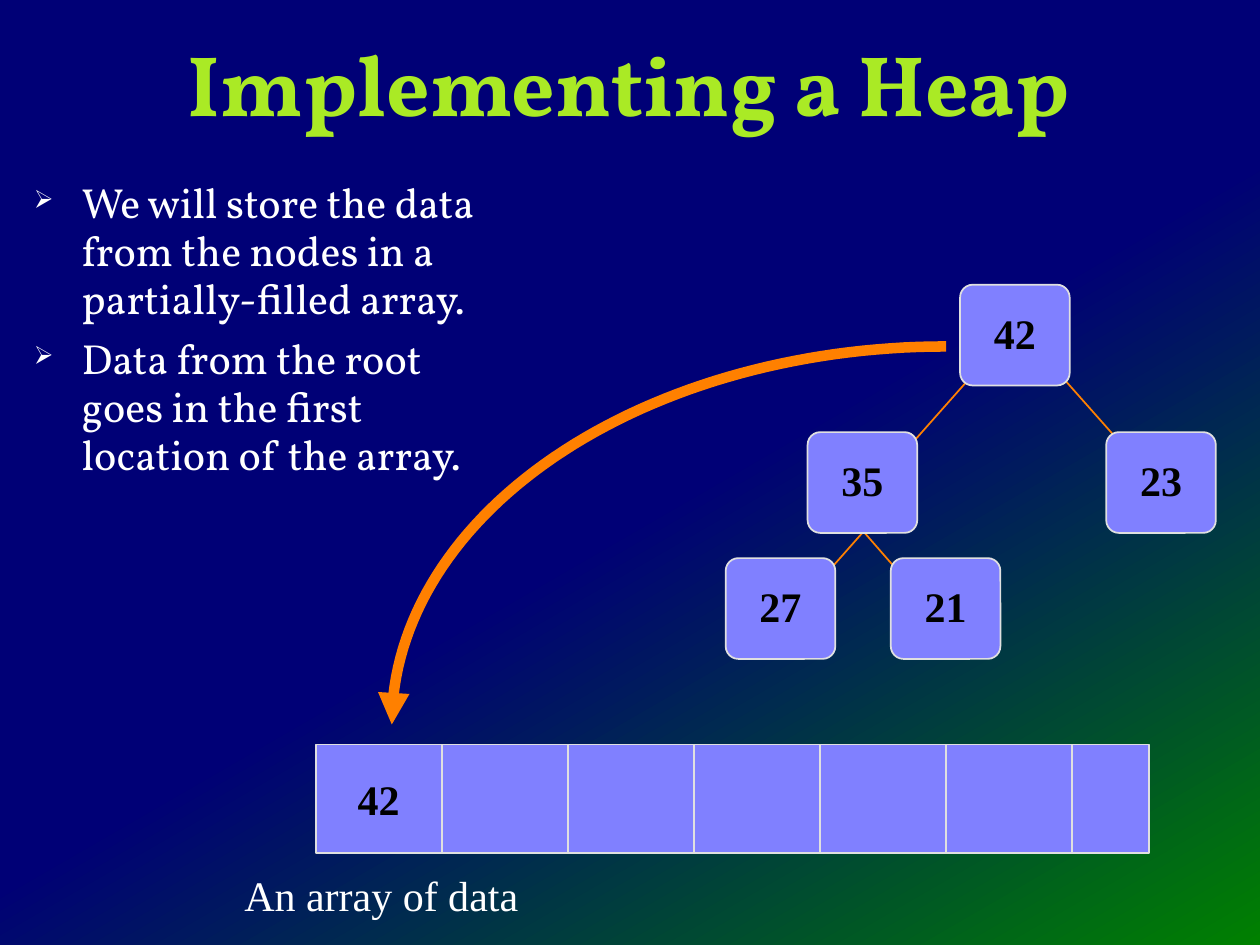
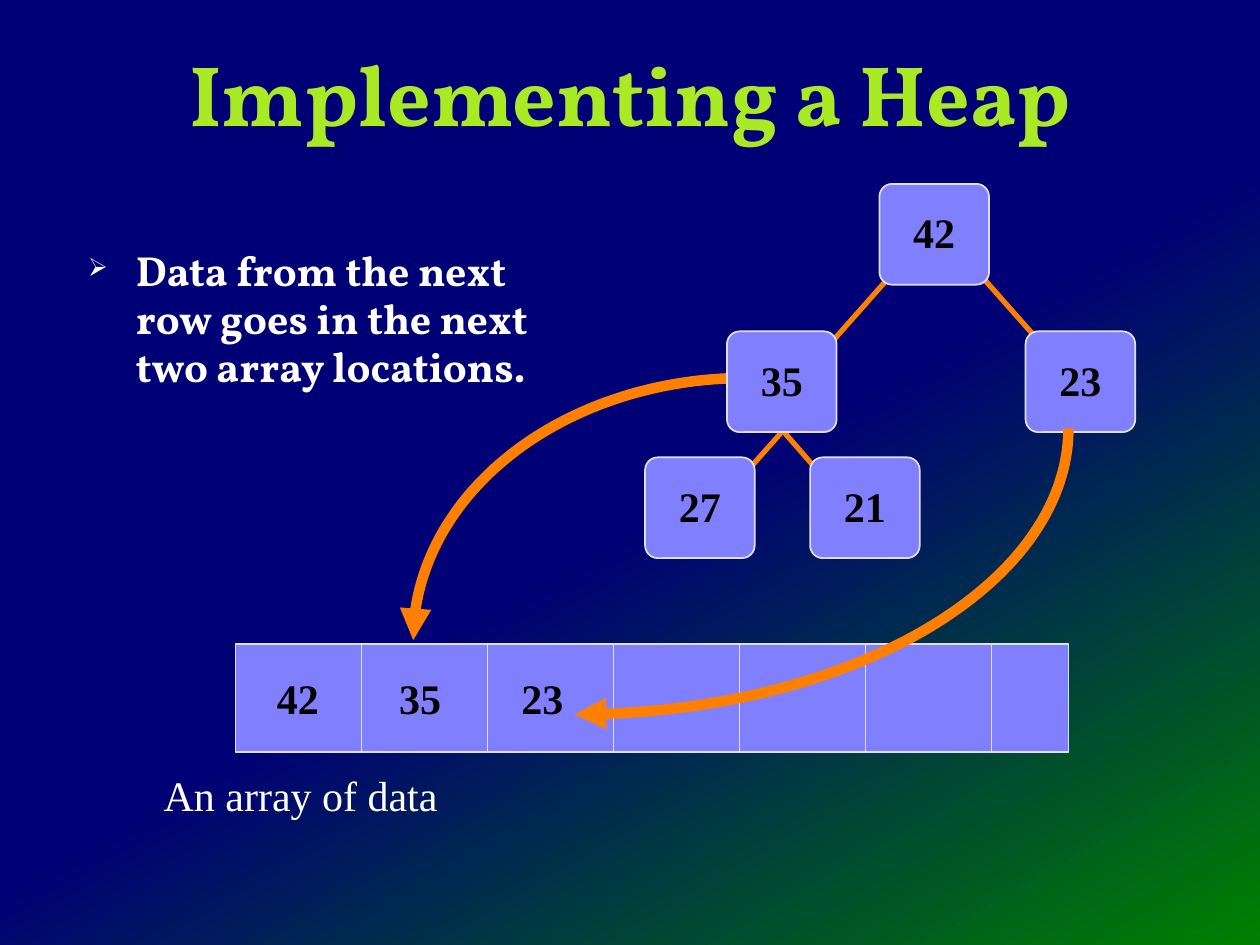
from copy import deepcopy
from dataclasses import dataclass
from math import cos, pi, sin

from lxml import etree
from pptx import Presentation
from pptx.dml.color import RGBColor
from pptx.enum.shapes import MSO_CONNECTOR, MSO_SHAPE
from pptx.enum.text import MSO_ANCHOR, MSO_AUTO_SIZE, PP_ALIGN
from pptx.oxml.ns import qn
from pptx.util import Inches, Pt

RECT, ROUNDED = MSO_SHAPE.RECTANGLE, MSO_SHAPE.ROUNDED_RECTANGLE
STRAIGHT = MSO_CONNECTOR.STRAIGHT
TOP, MIDDLE, BOTTOM = MSO_ANCHOR.TOP, MSO_ANCHOR.MIDDLE, MSO_ANCHOR.BOTTOM
LEFT, CENTER = PP_ALIGN.LEFT, PP_ALIGN.CENTER
NO_FIT = MSO_AUTO_SIZE.NONE

# Shared look
NAVY, GREEN, LIME = "000076", "008000", "AAEA25"
WHITE, BLACK, PALE = "FFFFFF", "000000", "E0E0E0"
VIOLET, ORANGE = "8080FF", "FF8000"
GRADIENT = [(0, NAVY), (0.53, NAVY), (1, GREEN)]
SERIF, DISPLAY = "Times New Roman", "Vollkorn"

# Heap and array, in the coordinates of the first slide
NODE_W, NODE_H = 0.87, 0.8
NODES = [("42", 7.62, 2.26), ("35", 6.41, 3.43), ("23", 8.78, 3.43),
         ("27", 5.76, 4.43), ("21", 7.11 - 0.04, 4.43)]
EDGES = [(7.68, 3.02, 7.06, 3.72), (8.41, 2.97, 9.03, 3.67),
         (7.03, 4.02, 6.41, 4.72), (6.68, 4.02, 7.29, 4.72)]
ARRAY_X, ARRAY_Y, ARRAY_W, ARRAY_H = 2.51, 5.91, 6.61, 0.86
CELL_W, VALUE_STEP = 1.0, 0.97
ARC_STEPS = 62


@dataclass
class Box:
    x: float
    y: float
    w: float
    h: float

    def emu(self):
        return [Inches(v) for v in (self.x, self.y, self.w, self.h)]


@dataclass
class Style:
    font: str
    size: float
    color: str
    bold: bool = False
    align: PP_ALIGN = LEFT
    spacing: float = 0.95


@dataclass
class Arc:
    """Quarter ellipse: level at its flat end, upright at its steep end."""
    flat: tuple
    steep: tuple
    arrow_end: str


@dataclass
class HeapSlide:
    title: Box
    body: Box
    points: list
    bold: bool
    dx: float
    dy: float
    edge_width: float
    values: list
    back_arc: Arc
    front_arc: Arc | None = None


TITLE = Style(DISPLAY, 49, LIME, True, CENTER)
NUMBER = Style(SERIF, 24, BLACK, True, CENTER)
VALUE = Style(SERIF, 24, BLACK, True)
CAPTION = Style(SERIF, 24, WHITE, spacing=0.93)

SLIDES = [
    HeapSlide(
        Box(0.74, 0.17, 8.5, 0.96), Box(0.15, 1.23, 3.93, 2.78),
        ["We will store the data from the nodes in a partially-filled array.",
         "Data from the root goes in the first location of the array."],
        False, 0, 0, 1, ["42"],
        Arc((7.51, 2.75), (3.11, 5.75), "tailEnd")),
    HeapSlide(
        Box(0.75, 0.33, 8.5, 0.88), Box(0.58, 1.43, 3.72, 2.22),
        ["Data from the next row goes in the next two array locations."],
        True, -0.64, -0.8, 3, ["42", "35", "23"],
        Arc((5.92, 3.0), (3.28, 5.08), "tailEnd"),
        Arc((4.56, 5.67), (8.48, 3.4), "headEnd")),
]


def rgb(color: str) -> RGBColor:
    return RGBColor.from_string(color)


def set_line(shape, color: str, width: float) -> None:
    shape.line.color.rgb = rgb(color)
    shape.line.width = Pt(width)


def set_text(tf, text: str, style: Style) -> None:
    tf.text = text
    for p in tf.paragraphs:
        p.alignment, p.line_spacing = style.align, style.spacing
        for r in p.runs:
            r.font.name, r.font.size = style.font, Pt(style.size)
            r.font.bold, r.font.color.rgb = style.bold, rgb(style.color)


def add_text(s, box: Box, text: str, style: Style, anchor=TOP, wrap=True):
    tf = s.shapes.add_textbox(*box.emu()).text_frame
    tf.word_wrap, tf.auto_size, tf.vertical_anchor = wrap, NO_FIT, anchor
    set_text(tf, text, style)
    return tf


def add_block(s, kind, box: Box):
    sp = s.shapes.add_shape(kind, *box.emu())
    sp.shadow.inherit = False
    sp.fill.solid()
    sp.fill.fore_color.rgb = rgb(VIOLET)
    set_line(sp, PALE, 1)
    return sp


def add_line(s, x1: float, y1: float, x2: float, y2: float, color: str, width: float) -> None:
    line = s.shapes.add_connector(STRAIGHT, *[Inches(v) for v in (x1, y1, x2, y2)])
    set_line(line, color, width)
    etree.SubElement(line._element.spPr, qn("a:effectLst"))


def add_arc(s, arc: Arc) -> None:
    (fx, fy), (sx, sy) = arc.flat, arc.steep
    angles = [i * pi / 2 / ARC_STEPS for i in range(ARC_STEPS + 1)]
    points = [(Inches(fx + (sx - fx) * sin(a)), Inches(sy + (fy - sy) * cos(a)))
              for a in angles]
    builder = s.shapes.build_freeform(*points[0])
    builder.add_line_segments(points[1:], close=False)
    sp = builder.convert_to_shape()
    sp.shadow.inherit = False
    sp.fill.background()
    set_line(sp, ORANGE, 6)
    etree.SubElement(sp.line._get_or_add_ln(), qn(f"a:{arc.arrow_end}"), type="triangle")


def set_background(s) -> None:
    fill = s.background.fill
    fill.gradient()
    fill.gradient_angle = 300
    stop_list = s._element.xpath(".//p:bgPr//a:gsLst")[0]
    stop_list.insert(1, deepcopy(stop_list[0]))
    for stop, (position, color) in zip(fill.gradient_stops, GRADIENT):
        stop.position, stop.color.rgb = position, rgb(color)


def add_bullets(s, spec: HeapSlide) -> None:
    style = Style(DISPLAY, 24, WHITE, spec.bold)
    tf = add_text(s, spec.body, "\n".join(spec.points), style, MIDDLE)
    for p in tf.paragraphs:
        p.space_before = Pt(7)
        pPr = p._p.get_or_add_pPr()
        pPr.set("marL", str(Inches(0.4)))
        pPr.set("indent", str(Inches(-0.38)))
        etree.SubElement(pPr, qn("a:buSzPct"), val="60000")
        etree.SubElement(pPr, qn("a:buChar"), char="➢")


def add_array(s, spec: HeapSlide) -> None:
    x, y = ARRAY_X + spec.dx, ARRAY_Y + spec.dy
    add_block(s, RECT, Box(x, y, ARRAY_W, ARRAY_H))
    for i in range(1, 7):
        divider = x + i * CELL_W
        add_line(s, divider, y, divider, y + ARRAY_H, PALE, 1)
    add_text(s, Box(x - 0.67, y + 0.98, 2.39, 0.47), "An array of data", CAPTION, wrap=False)


def add_values(s, spec: HeapSlide) -> None:
    x, y = ARRAY_X + spec.dx + 0.23, ARRAY_Y + spec.dy + 0.21
    for i, value in enumerate(spec.values):
        add_text(s, Box(x + i * VALUE_STEP, y, 0.53, 0.5), value, VALUE, wrap=False)


def add_heap(s, spec: HeapSlide) -> None:
    dx, dy = spec.dx, spec.dy
    for x1, y1, x2, y2 in EDGES:
        add_line(s, x1 + dx, y1 + dy, x2 + dx, y2 + dy, ORANGE, spec.edge_width)
    for number, x, y in NODES:
        node = add_block(s, ROUNDED, Box(x + dx, y + dy, NODE_W, NODE_H))
        node.adjustments[0] = 0.126
        node.text_frame.vertical_anchor = MIDDLE
        set_text(node.text_frame, number, NUMBER)


def build_slide(prs, spec: HeapSlide) -> None:
    s = prs.slides.add_slide(prs.slide_layouts[6])
    set_background(s)
    add_arc(s, spec.back_arc)
    add_text(s, spec.title, "Implementing a Heap", TITLE, BOTTOM)
    add_bullets(s, spec)
    add_array(s, spec)
    add_heap(s, spec)
    if spec.front_arc:
        add_arc(s, spec.front_arc)
    add_values(s, spec)


def main() -> None:
    prs = Presentation()
    prs.slide_width, prs.slide_height = Inches(10), Inches(7.5)
    for spec in SLIDES:
        build_slide(prs, spec)
    prs.save("out.pptx")


if __name__ == "__main__":
    main()
